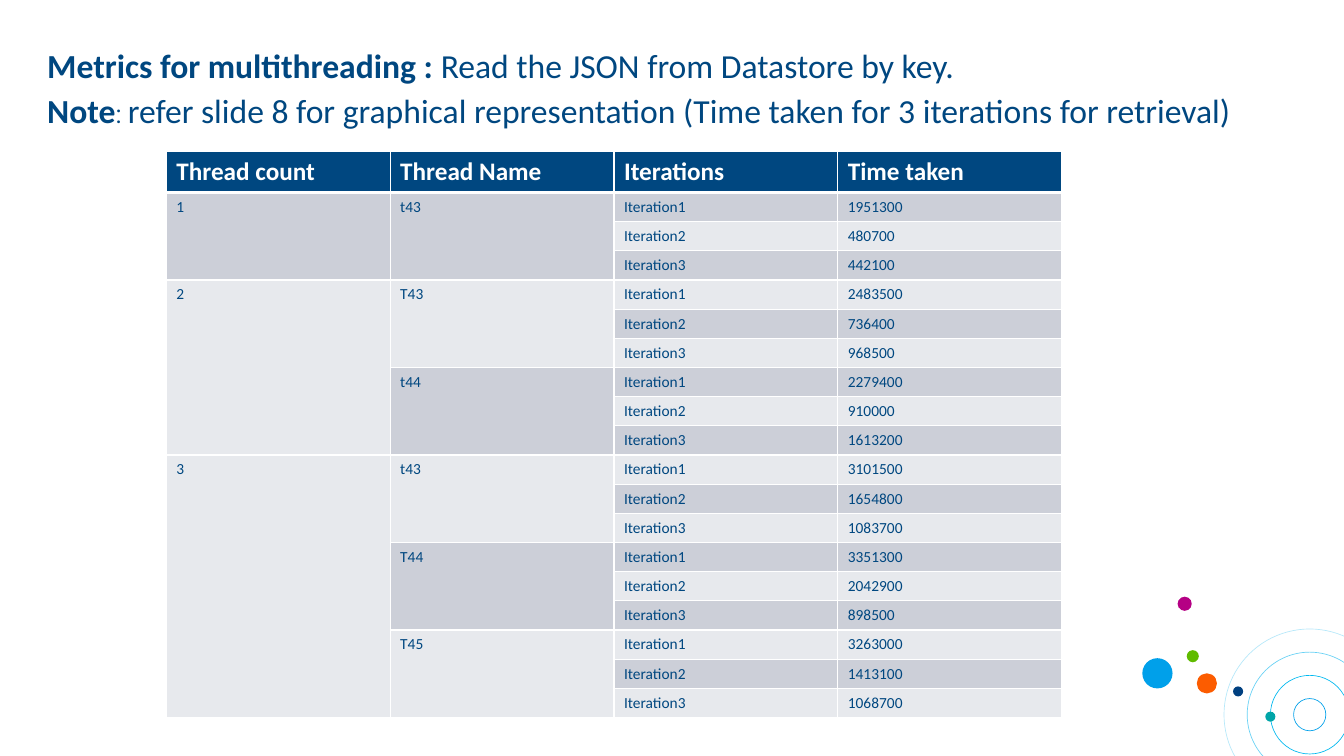
from lxml import etree
from pptx import Presentation, util as u
from pptx.dml.color import RGBColor
from pptx.enum import shapes as sh
from pptx.oxml.ns import qn

NAVY, WHITE = "004780", "FFFFFF"
BANDS = ["CCCFD8", "E7E9ED"]
BIG = {"size": u.Pt(24), "name": "Calibri"}
HEAD = {"size": u.Pt(18), "name": "Calibri", "bold": True}
BODY = {"size": u.Pt(11), "name": "Calibri", "bold": False}
NOTES = [
    [("Metrics for multithreading : ", BIG | {"bold": True}),
     ("Read the JSON from Datastore by key.", BIG)],
    [("Note", BIG | {"bold": True}),
     (": ", {"size": u.Pt(18), "name": "Roboto"}),
     ("refer slide 8 for graphical representation "
      "(Time taken for 3 iterations for retrieval)", BIG)],
]
TITLES = ["Thread count", "Thread Name", "Iterations", "Time taken"]
RUNS = [
    ("1", [("t43", [1951300, 480700, 442100])]),
    ("2", [("T43", [2483500, 736400, 968500]),
           ("t44", [2279400, 910000, 1613200])]),
    ("3", [("t43", [3101500, 1654800, 1083700]),
           ("T44", [3351300, 2042900, 898500]),
           ("T45", [3263000, 1413100, 1068700])]),
]
RINGS = [(0.16, "00A0EA"), (0.39, "00B9F0"), (0.62, "67D1F5"), (0.85, "B6E8FA")]
DOTS = [
    (0.41, 0.07, 0.07, "B50084"),
    (1.26, 1.19, 0.05, "00A5A8"),
    (0.94, 0.94, 0.05, "004080"),
    (0.14, 0.76, 0.15, "00A0EA"),
    (0.49, 0.59, 0.06, "60BB00"),
    (0.63, 0.86, 0.1, "FC5C00"),
]


def hue(code):
    return RGBColor.from_string(code)


def write(para, words, form, color):
    run = para.add_run()
    run.text = words
    for key, val in form.items():
        setattr(run.font, key, val)
    run.font.color.rgb = hue(color)


def intro(slide, left, top, width, height):
    box = slide.shapes.add_textbox(*map(u.Inches, (left, top, width, height)))
    frame = box.text_frame
    frame.word_wrap = True
    for num, line in enumerate(NOTES):
        para = frame.add_paragraph() if num else frame.paragraphs[0]
        para.space_after = u.Pt(3)
        for words, form in line:
            write(para, words, form, NAVY)


def edge(cell, base):
    props = cell._tc.get_or_add_tcPr()
    for side, wide in zip("LRTB", (1, 1, 1, base)):
        line = etree.SubElement(props, qn(f"a:ln{side}"), w=str(u.Pt(wide)))
        solid = etree.SubElement(line, qn("a:solidFill"))
        etree.SubElement(solid, qn("a:srgbClr"), val=WHITE)


def put(cell, words, form, color, back, base=1):
    edge(cell, base)
    cell.fill.solid()
    cell.fill.fore_color.rgb = hue(back)
    if words:
        write(cell.text_frame.paragraphs[0], words, form, color)


def metrics(slide, left, top, width, height):
    rows = []
    spans = []
    for count, threads in RUNS:
        spans.append((len(rows) + 1, 0, 3 * len(threads)))
        for name, times in threads:
            spans.append((len(rows) + 1, 1, len(times)))
            for num, time in enumerate(times, 1):
                rows.append([count, name, f"Iteration{num}", str(time)])
                count = name = ""
    grid = slide.shapes.add_table(
        len(rows) + 1, len(TITLES),
        *map(u.Inches, (left, top, width, height))).table
    top_row = 0.41
    for num, row in enumerate(grid.rows):
        row.height = u.Inches((height - top_row) / len(rows) if num else top_row)
    for col, title in enumerate(TITLES):
        put(grid.cell(0, col), title, HEAD, WHITE, NAVY, 3)
    for num, row in enumerate(rows):
        for col, words in enumerate(row):
            put(grid.cell(num + 1, col), words, BODY, NAVY, BANDS[num % 2])
    for row, col, size in spans:
        grid.cell(row, col).merge(grid.cell(row + size - 1, col))


def disc(slide, x, y, rad):
    oval = slide.shapes.add_shape(
        sh.MSO_SHAPE.OVAL, *map(u.Inches, (x - rad, y - rad, 2 * rad, 2 * rad)))
    oval.shadow.inherit = False
    return oval


def orbit(slide, left, top):
    for rad, color in RINGS:
        ring = disc(slide, left + 1.65, top + 1.17, rad)
        ring.fill.background()
        ring.line.color.rgb = hue(color)
        ring.line.width = u.Pt(0.47)
    for x, y, rad, color in DOTS:
        dot = disc(slide, left + x, top + y, rad)
        dot.fill.solid()
        dot.fill.fore_color.rgb = hue(color)
        dot.line.fill.background()


def main():
    deck = Presentation()
    deck.slide_width, deck.slide_height = u.Inches(13.33), u.Inches(7.5)
    slide = deck.slides.add_slide(deck.slide_layouts[6])
    orbit(slide, 11.34, 5.92)
    intro(slide, 0.37, 0.4, 12.39, 1.43)
    metrics(slide, 1.65, 1.5, 8.88, 5.62)
    deck.save("out.pptx")


if __name__ == "__main__":
    main()
